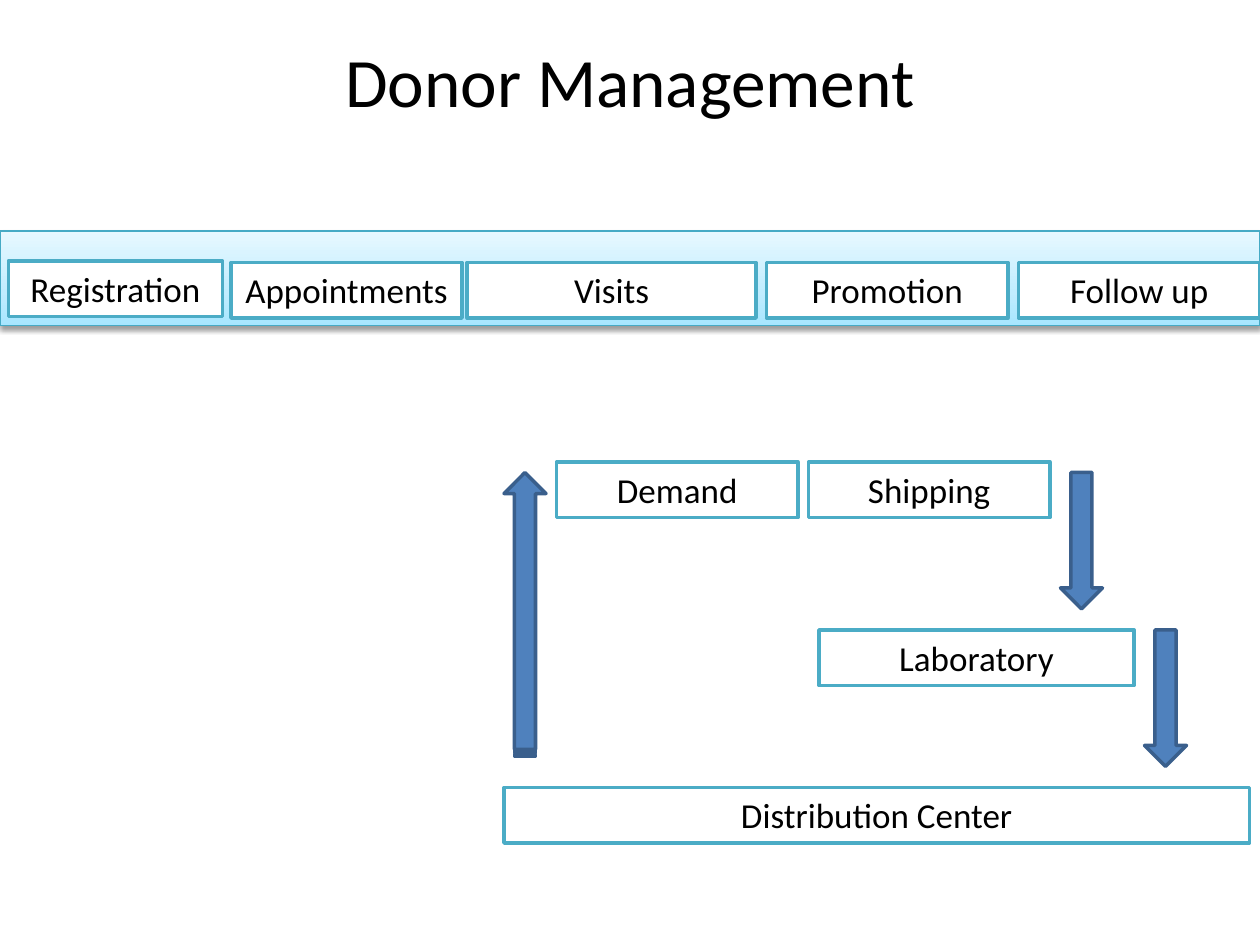
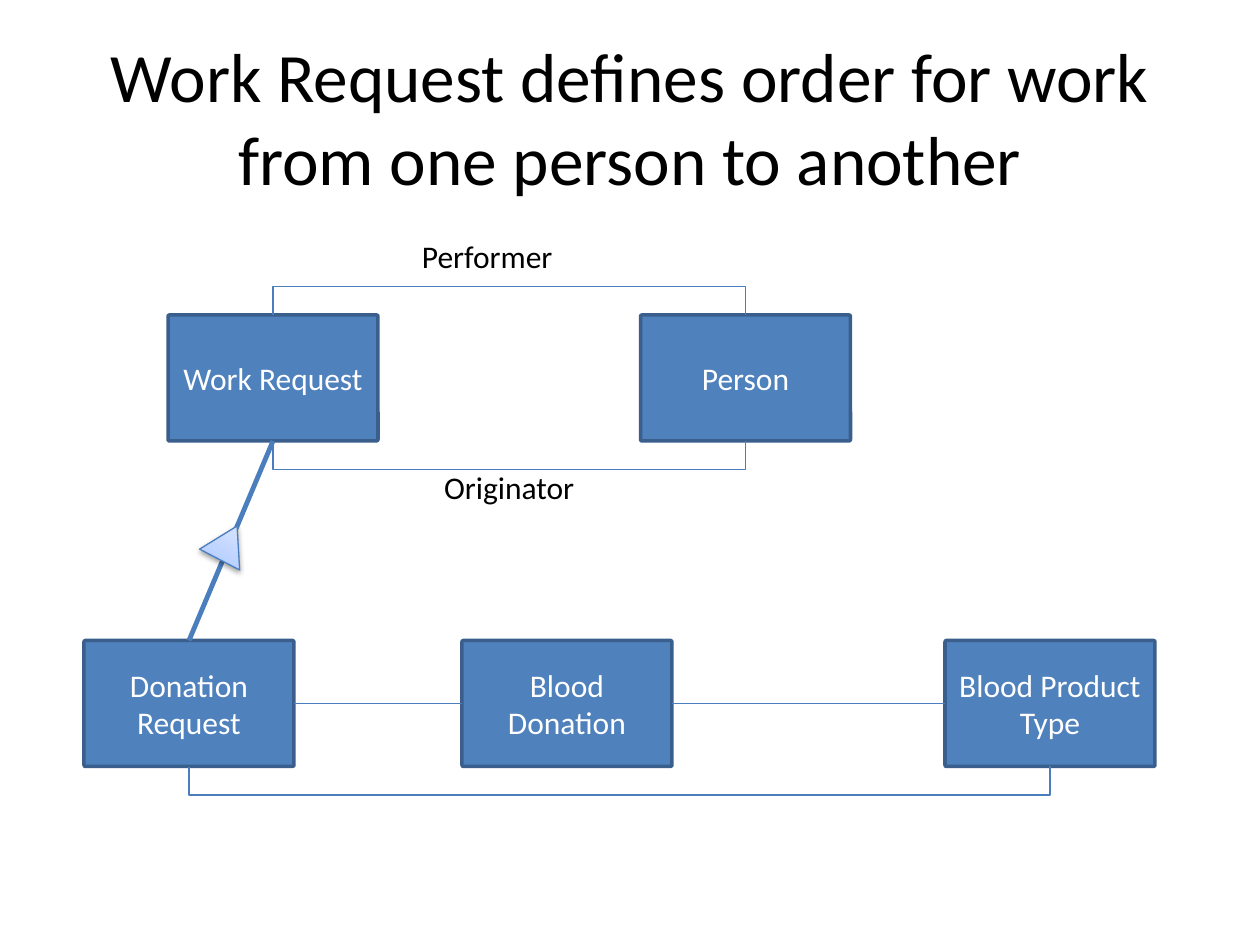
from copy import deepcopy

from lxml import etree
from pptx import Presentation
from pptx.dml.color import RGBColor
from pptx.enum.shapes import MSO_CONNECTOR, MSO_SHAPE
from pptx.enum.text import MSO_ANCHOR, MSO_AUTO_SIZE, PP_ALIGN
from pptx.oxml.ns import qn
from pptx.util import Emu, Inches, Pt

RECT, ROUNDED = MSO_SHAPE.RECTANGLE, MSO_SHAPE.ROUNDED_RECTANGLE
DOWN_ARROW, STRIPED_ARROW = MSO_SHAPE.DOWN_ARROW, MSO_SHAPE.STRIPED_RIGHT_ARROW
TRIANGLE = MSO_SHAPE.FLOWCHART_EXTRACT
STRAIGHT, ELBOW = MSO_CONNECTOR.STRAIGHT, MSO_CONNECTOR.ELBOW
TOP, MIDDLE = MSO_ANCHOR.TOP, MSO_ANCHOR.MIDDLE
CENTER, NO_FIT = PP_ALIGN.CENTER, MSO_AUTO_SIZE.NONE

# Connection sites of a rectangle
SITE_TOP, SITE_LEFT, SITE_BOTTOM, SITE_RIGHT = range(4)

COLUMNS, ROWS = 120, 90
FONT = "Calibri"
COLORS = {
    "text": "000000",
    "light": "FFFFFF",
    "node": "4F81BD",
    "node_edge": "3A5F8C",
    "step_edge": "4BACC6",
    "band_edge": "46AAC5",
    "link": "4B7EBC",
}
BAND_GRADIENT = [(0, "A7E6FF"), (0.35, "C1EDFF"), (1, "E7F8FF")]
MARK_GRADIENT = [(0, "A4C4FF"), (0.35, "BFD4FF"), (1, "E6EEFF")]

STEP_ROW, STEP_HEIGHT = 25, 5.3
NODE_WIDTH, NODE_HEIGHT = 20, 12
BEND_ROWS = 3
BEND_THICKNESS = 1588


def rgb(name):
    return RGBColor.from_string(COLORS[name])


class Deck:
    def __init__(self):
        self.prs = Presentation()
        self.prs.slide_width, self.prs.slide_height = Inches(10), Inches(7.5)
        self.column = self.prs.slide_width / COLUMNS
        self.row = self.prs.slide_height / ROWS
        self.slide = None

    def box(self, left, top, width, height):
        """Turn grid columns and rows into lengths."""
        return (Emu(round(left * self.column)), Emu(round(top * self.row)),
                Emu(round(width * self.column)), Emu(round(height * self.row)))

    def set_text(self, shape, text, size, color="text", anchor=MIDDLE, **frame_format):
        frame = shape.text_frame
        frame.text = text
        settings = {"word_wrap": True, "auto_size": NO_FIT,
                    "vertical_anchor": anchor, **frame_format}
        for key, value in settings.items():
            setattr(frame, key, value)
        paragraph = frame.paragraphs[0]
        paragraph.alignment = CENTER
        for key, value in {"name": FONT, "size": Pt(size)}.items():
            setattr(paragraph.font, key, value)
        paragraph.font.color.rgb = rgb(color)

    def start_slide(self, title, anchor=MIDDLE, **frame_format):
        self.slide = self.prs.slides.add_slide(self.prs.slide_layouts[5])
        holder = self.slide.shapes.title
        holder.left, holder.top, holder.width, holder.height = self.box(6, 3.6, 108, 15)
        self.set_text(holder, title, 39.6, anchor=anchor, **frame_format)

    def shape(self, kind, box, edge, fill=None, weight=2, rotation=0):
        shape = self.slide.shapes.add_shape(kind, *self.box(*box))
        shape.rotation = rotation
        shape.shadow.inherit = False
        if fill:
            shape.fill.solid()
            shape.fill.fore_color.rgb = rgb(fill)
        shape.line.color.rgb = rgb(edge)
        shape.line.width = Pt(weight)
        return shape

    def glossy(self, kind, box, edge, gradient, rotation=0):
        """Add a shape with a vertical gradient and a soft shadow below it."""
        shape = self.shape(kind, box, edge, weight=0.75, rotation=rotation)
        shape.fill.gradient()
        shape.fill.gradient_angle = 90
        properties = shape.element.spPr
        stops = properties.find(".//" + qn("a:gsLst"))
        stops.append(deepcopy(stops[-1]))
        for stop, (position, color) in zip(shape.fill.gradient_stops, gradient):
            stop.position = position
            stop.color.rgb = RGBColor.from_string(color)
        shadow = etree.SubElement(properties.find(qn("a:effectLst")), qn("a:outerShdw"),
                                  blurRad="40000", dist="20000", dir="5400000",
                                  rotWithShape="0")
        tint = etree.SubElement(shadow, qn("a:srgbClr"), val=COLORS["text"])
        etree.SubElement(tint, qn("a:alpha"), val="38000")

    def step(self, text, left, top, width):
        shape = self.shape(RECT, (left, top, width, STEP_HEIGHT), "step_edge", "light")
        self.set_text(shape, text, 20, anchor=TOP)

    def arrow(self, kind, box, rotation=0):
        self.shape(kind, box, "node_edge", "node", rotation=rotation)

    def node(self, text, left, top):
        shape = self.shape(ROUNDED, (left, top, NODE_WIDTH, NODE_HEIGHT),
                           "node_edge", "node")
        shape.adjustments[0] = 0.012
        self.set_text(shape, text, 18, "light")
        return shape

    def label(self, text, left, top):
        holder = self.slide.shapes.add_textbox(*self.box(left, top, 15, 4.8))
        self.set_text(holder, text, 18, anchor=TOP, word_wrap=False)

    def link(self, start, start_site, end, end_site, kind=STRAIGHT, weight=0.75):
        line = self.slide.shapes.add_connector(kind, 0, 0, 0, 0)
        line.begin_connect(start, start_site)
        line.end_connect(end, end_site)
        line.line.color.rgb = rgb("link")
        line.line.width = Pt(weight)
        etree.SubElement(line.element.spPr, qn("a:effectLst"))
        return line

    def bracket(self, start, end, site):
        """Link two level nodes by a line that bends out above or below them."""
        line = self.link(start, site, end, site, ELBOW)
        span, middle, level = line.width, line.left + line.width // 2, line.top
        frame = {"left": middle - BEND_THICKNESS // 2, "top": level - span // 2,
                 "width": BEND_THICKNESS, "height": span}
        for key, value in frame.items():
            setattr(line, key, Emu(value))
        turn = ({"rot": "5400000", "flipH": "1", "flipV": "1"} if site == SITE_TOP
                else {"rot": "16200000", "flipH": "1"})
        properties = line.element.spPr
        for key, value in turn.items():
            properties.find(qn("a:xfrm")).set(key, value)
        bend = round(BEND_ROWS * self.row / BEND_THICKNESS * 100000)
        guides = properties.find(qn("a:prstGeom")).get_or_add_avLst()
        etree.SubElement(guides, qn("a:gd"), name="adj1", fmla=f"val {bend}")


def donor_management(deck):
    deck.start_slide("Donor Management", TOP, margin_top=0)
    deck.glossy(RECT, (0, 22, COLUMNS, 9), "band_edge", BAND_GRADIENT)
    for step in [
        ("Registration", 0.8, STEP_ROW - 0.15, 20.4),
        ("Appointments", 22, STEP_ROW, 22),
        ("Visits", 44.5, STEP_ROW, 27.5),
        ("Promotion", 73, STEP_ROW, 23),
        ("Follow up", 97, STEP_ROW, 23),
        ("Demand", 53, 44, 23),
        ("Shipping", 77, 44, 23),
        ("Laboratory", 78, 60, 30),
        ("Distribution Center", 48, 75, 71),
    ]:
        deck.step(*step)
    for left, top in [(101, 45), (109, 60)]:
        deck.arrow(DOWN_ARROW, (left, top, 4, 13))
    deck.arrow(STRIPED_ARROW, (36.5, 56.5, 27, 4), rotation=270)


def work_request(deck):
    deck.start_slide("Work Request defines order for work from one person to another")
    request, person = deck.node("Work Request", 16, 30), deck.node("Person", 61, 30)
    donation_request, donation, product_type = [
        deck.node(text, left, 61) for text, left in
        [("Donation Request", 8), ("Blood Donation", 44), ("Blood Product Type", 90)]
    ]
    deck.bracket(request, person, SITE_TOP)
    deck.bracket(request, person, SITE_BOTTOM)
    deck.bracket(donation_request, product_type, SITE_BOTTOM)
    deck.label("Performer", 38.9, 22)
    deck.label("Originator", 41, 44)
    deck.link(donation_request, SITE_TOP, request, SITE_BOTTOM, weight=2.75)
    deck.glossy(TRIANGLE, (19.6, 49.9, 4.3, 3.6), "link", MARK_GRADIENT, rotation=27.5)
    deck.link(donation_request, SITE_RIGHT, donation, SITE_LEFT)
    deck.link(donation, SITE_RIGHT, product_type, SITE_LEFT)


def main():
    deck = Deck()
    donor_management(deck)
    work_request(deck)
    deck.prs.save("out.pptx")


if __name__ == "__main__":
    main()
